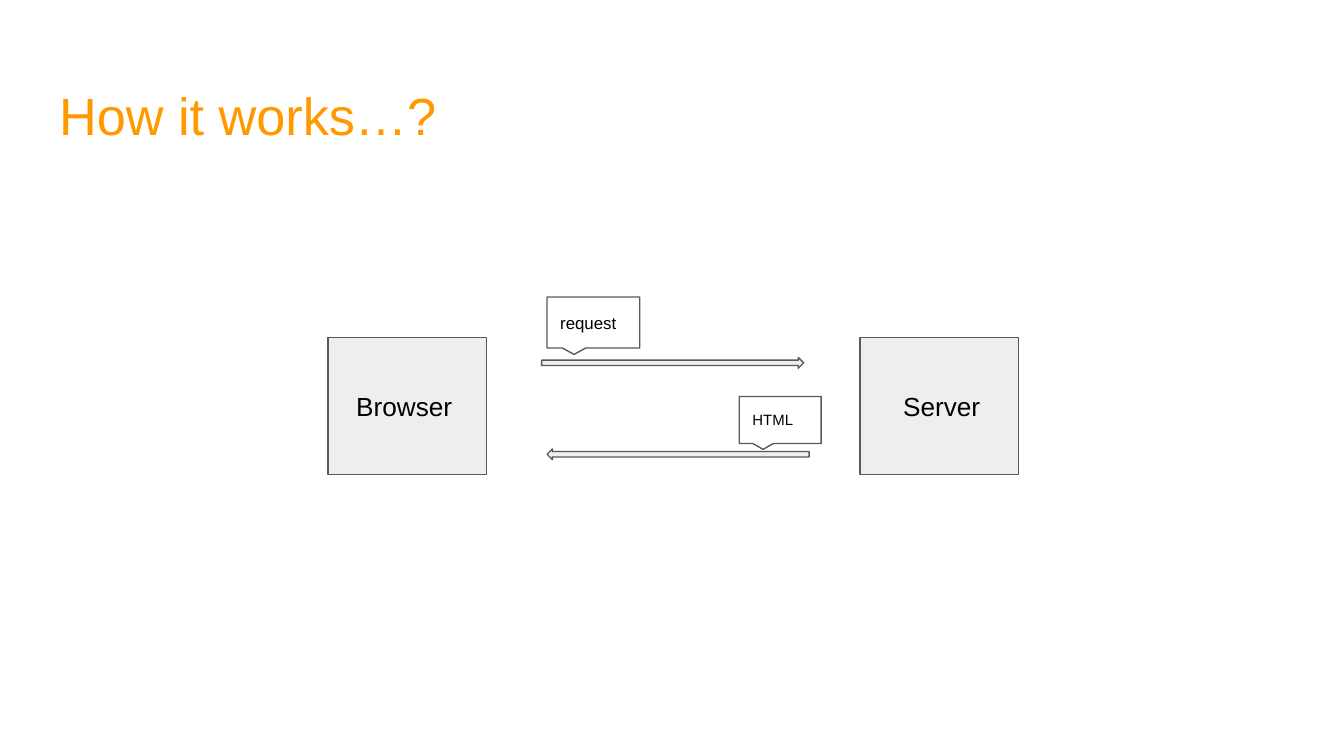
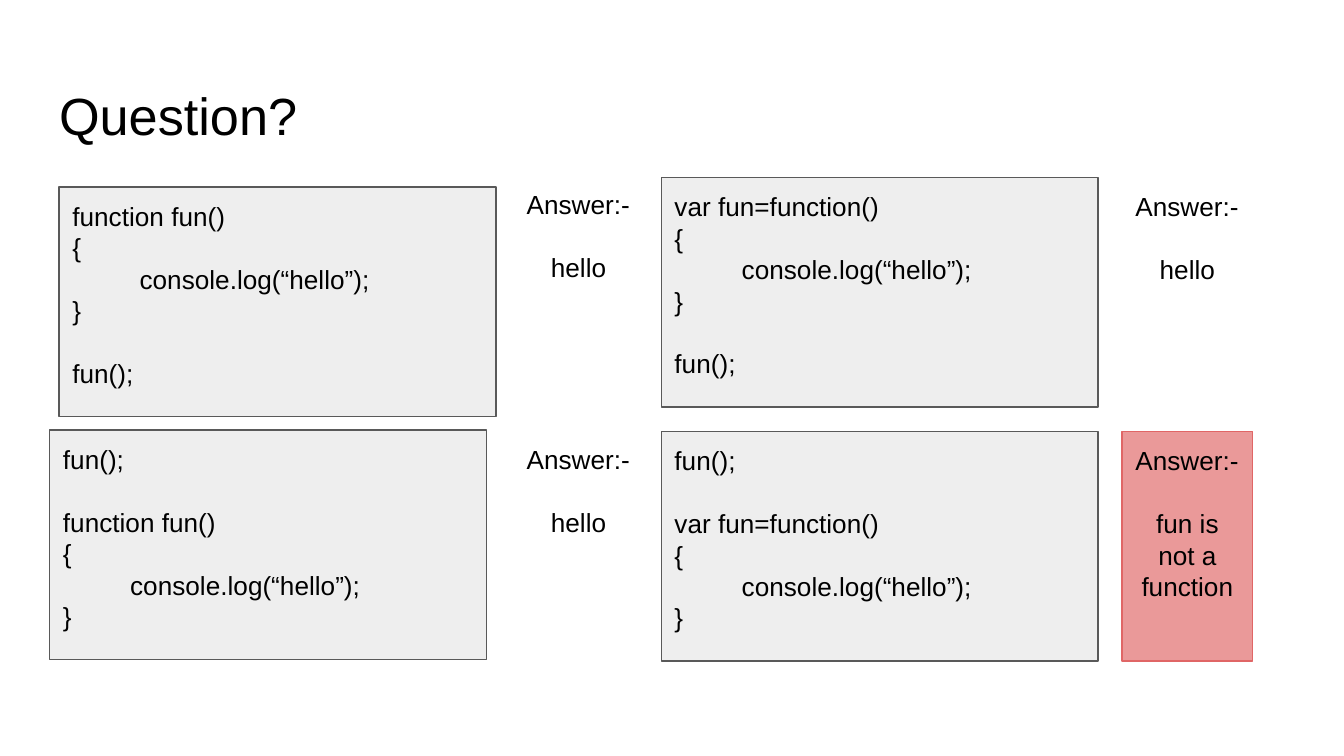
from pptx import Presentation
from pptx.util import Inches, Pt
from pptx.dml.color import RGBColor
from pptx.enum.shapes import MSO_SHAPE as Kind
from pptx.enum.text import MSO_ANCHOR as Anchor, MSO_AUTO_SIZE as Auto, PP_ALIGN as Align

BLACK, WHITE, GREY, DARK = "000000", "FFFFFF", "EEEEEE", "595959"
ORANGE, PINK, RED = "FF9900", "EA9999", "E06666"


def color(text):
    return RGBColor.from_string(text)


class Deck:
    font = "Arial"
    pad = 0.1
    lead = Pt(16.8)

    def __init__(self):
        self.prs = Presentation()
        self.prs.slide_width = Inches(10)
        self.prs.slide_height = Inches(5.625)
        self.slide = None

    def style(self, para, size, tint):
        for run in para.runs:
            run.font.name = self.font
            run.font.size = Pt(size)
            run.font.color.rgb = color(tint)

    def frame(self, shape, anchor, left=pad, top=pad):
        frame = shape.text_frame
        frame.word_wrap = True
        frame.auto_size = Auto.NONE
        frame.vertical_anchor = anchor
        frame.margin_left, frame.margin_top = Inches(left), Inches(top)
        frame.margin_right = frame.margin_bottom = Inches(self.pad)
        return frame

    def page(self, title, tint=BLACK):
        self.slide = self.prs.slides.add_slide(self.prs.slide_layouts[5])
        head = self.slide.shapes.title
        head.left, head.top = Inches(0.34), Inches(0.49)
        head.width, head.height = Inches(9.32), Inches(0.63)
        frame = self.frame(head, Anchor.TOP, top=0.13)
        frame.text = title
        frame.paragraphs[0].alignment = Align.LEFT
        self.style(frame.paragraphs[0], 28, tint)

    def shape(self, kind, x, y, w, h, fill=GREY, line=DARK):
        shape = self.slide.shapes.add_shape(kind, Inches(x), Inches(y), Inches(w), Inches(h))
        shape.shadow.inherit = False
        shape.fill.solid()
        shape.fill.fore_color.rgb = color(fill)
        shape.line.color.rgb = color(line)
        shape.line.width = Pt(0.75)
        return shape

    def label(self, shape, text, size, left=pad):
        frame = self.frame(shape, Anchor.MIDDLE, left)
        frame.text = text
        frame.paragraphs[0].alignment = Align.LEFT
        self.style(frame.paragraphs[0], size, BLACK)

    def node(self, x, text, left):
        box = self.shape(Kind.RECTANGLE, x, 2.51, 1.18, 1.02)
        self.label(box, text, 14, left)

    def arrow(self, kind, x, y):
        self.shape(kind, x, y, 1.95, 0.08)

    def bubble(self, x, y, w, h, text, size):
        box = self.shape(Kind.ROUNDED_RECTANGULAR_CALLOUT, x, y, w, h, WHITE)
        for i, value in enumerate((-0.208, 0.625, 0)):
            box.adjustments[i] = value
        self.label(box, text, size)

    def panel(self, x, y, w, parts, fill=GREY, line=DARK, last=Align.LEFT):
        frame = self.frame(self.shape(Kind.RECTANGLE, x, y, w, 1.71, fill, line), Anchor.TOP)
        frame.text = "\n".join("\n".join(part) for part in parts)
        starts = {len(parts[0])}
        for i, para in enumerate(frame.paragraphs):
            para.alignment = Align.LEFT
            para.line_spacing = self.lead
            if i in starts:
                para.space_before = self.lead
            self.style(para, 14, BLACK)
        frame.paragraphs[-1].alignment = last

    def code(self, x, y, *parts):
        self.panel(x, y, 3.25, parts)

    def answer(self, x, y, text, fill=WHITE, line=WHITE):
        self.panel(x, y, 0.97, (["Answer:-"], [text]), fill, line, Align.CENTER)


def flow(deck):
    deck.page("How it works…?", ORANGE)
    deck.node(2.44, "Browser", 0.21)
    deck.node(6.4, "Server", 0.32)
    deck.arrow(Kind.RIGHT_ARROW, 4.03, 2.66)
    deck.arrow(Kind.LEFT_ARROW, 4.07, 3.34)
    deck.bubble(4.07, 2.21, 0.69, 0.38, "request", 9)
    deck.bubble(5.5, 2.95, 0.61, 0.35, "HTML", 8)


def quiz(deck):
    body = ["{", "\tconsole.log(“hello”);", "}"]
    named = ["function fun()"] + body
    stored = ["var fun=function()"] + body
    call = ["fun();"]
    deck.page("Question?")
    deck.code(0.44, 1.39, named, call)
    deck.code(0.37, 3.2, call, named)
    deck.code(4.92, 3.21, call, stored)
    deck.code(4.92, 1.32, stored, call)
    for x, y in ((3.82, 1.3), (3.82, 3.2), (8.35, 1.32)):
        deck.answer(x, y, "hello")
    deck.answer(8.35, 3.21, "fun is not a function", PINK, RED)


def main():
    deck = Deck()
    flow(deck)
    quiz(deck)
    deck.prs.save("out.pptx")


if __name__ == "__main__":
    main()
